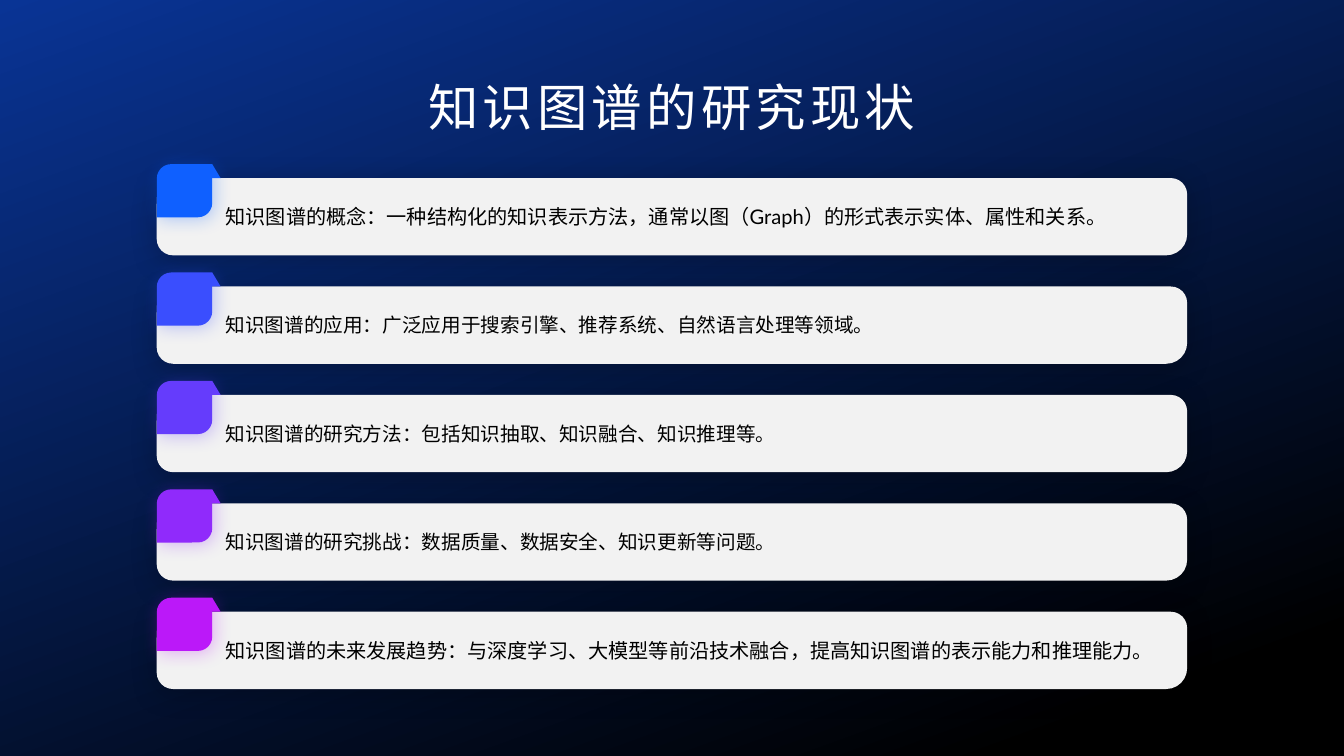
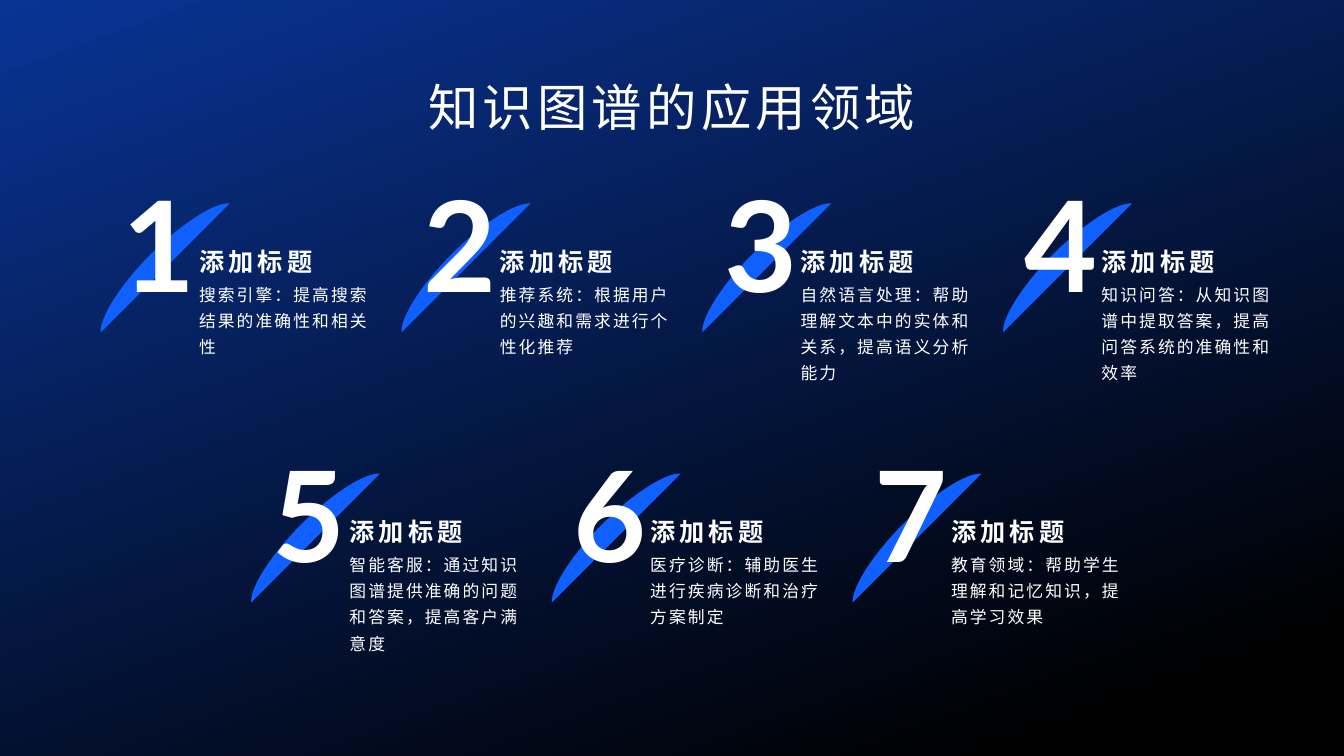
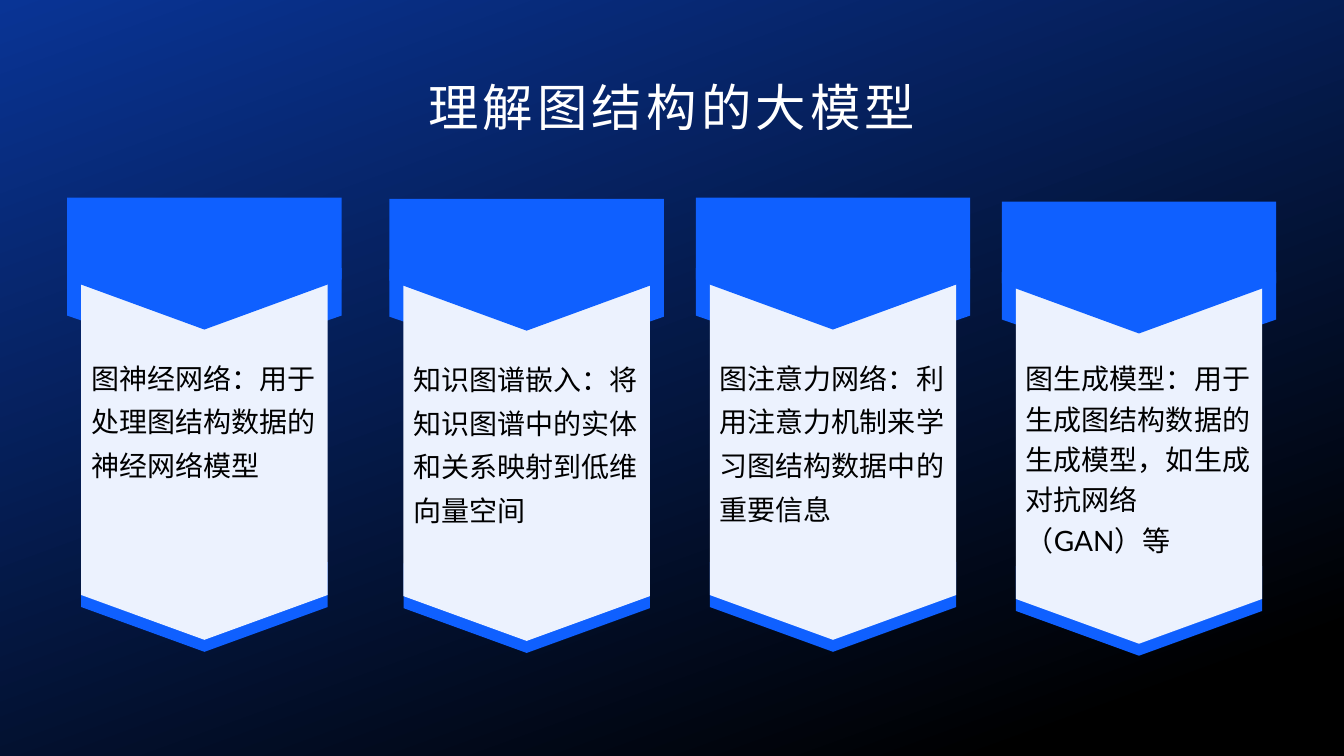
from dataclasses import dataclass
from lxml.etree import SubElement
from pptx import Presentation
from pptx.dml.color import RGBColor
from pptx.enum.lang import MSO_LANGUAGE_ID
from pptx.enum.shapes import MSO_SHAPE
from pptx.enum.text import MSO_ANCHOR, PP_ALIGN
from pptx.oxml.ns import qn
from pptx.util import Pt


@dataclass(frozen=True)
class Theme:
    """Colours, font and type sizes shared by the deck."""
    font: str = "Lato"
    night: str = "093495"
    black: str = "000000"
    white: str = "FFFFFF"
    blue: str = "0F60FF"
    card: str = "F2F2F2"
    sheet: str = "ECF2FE"
    tabs: tuple = ("0F60FF", "3A4EFE", "653CFC", "902AFB", "BB18F9")
    title: float = 36
    number: float = 90
    heading: float = 18
    detail: float = 12
    pennant: float = 20
    long_line: float = 14.4
    short_line: float = 14


THEME = Theme()

STATUS = [
    ("知识图谱的概念：一种结构化的知识表示方法，通常以图（Graph）的形式表示实体、属性和关系。", THEME.long_line),
    ("知识图谱的应用：广泛应用于搜索引擎、推荐系统、自然语言处理等领域。", THEME.short_line),
    ("知识图谱的研究方法：包括知识抽取、知识融合、知识推理等。", THEME.short_line),
    ("知识图谱的研究挑战：数据质量、数据安全、知识更新等问题。", THEME.short_line),
    ("知识图谱的未来发展趋势：与深度学习、大模型等前沿技术融合，提高知识图谱的表示能力和推理能力。", THEME.long_line),
]
FIELDS = [
    "搜索引擎：提高搜索结果的准确性和相关性",
    "推荐系统：根据用户的兴趣和需求进行个性化推荐",
    "自然语言处理：帮助理解文本中的实体和关系，提高语义分析能力",
    "知识问答：从知识图谱中提取答案，提高问答系统的准确性和效率",
    "智能客服：通过知识图谱提供准确的问题和答案，提高客户满意度",
    "医疗诊断：辅助医生进行疾病诊断和治疗方案制定",
    "教育领域：帮助学生理解和记忆知识，提高学习效果",
]
MODELS = [
    (48, 141.2, "图神经网络：用于处理图结构数据的神经网络模型", 1.3),
    (278.2, 142, "知识图谱嵌入：将知识图谱中的实体和关系映射到低维向量空间", 1.3),
    (497, 141.2, "图注意力网络：利用注意力机制来学习图结构数据中的重要信息", 1.3),
    (715.6, 144, "图生成模型：用于生成图结构数据的生成模型，如生成对抗网络（GAN）等", 1.2),
]


def write(frame, text, size, color, bold=False, tracking=0, spacing=None,
          align=PP_ALIGN.LEFT, anchor=MSO_ANCHOR.TOP, insets=None):
    """Fill a text frame with one styled paragraph."""
    frame.word_wrap = True
    frame.vertical_anchor = anchor
    if insets:
        (frame.margin_left, frame.margin_top,
         frame.margin_right, frame.margin_bottom) = map(Pt, insets)
    para = frame.paragraphs[0]
    para.alignment = align
    if spacing:
        para.line_spacing = spacing
    span = para.add_run()
    span.text = text
    span.font.name = THEME.font
    span.font.size = Pt(size)
    span.font.bold = bold
    span.font.color.rgb = RGBColor.from_string(color)
    span.font.language_id = MSO_LANGUAGE_ID.SIMPLIFIED_CHINESE
    properties = span.font._element
    SubElement(properties, qn("a:ea"), typeface=THEME.font)
    if tracking:
        properties.set("spc", str(int(tracking * 100)))


def add_text(page, box, text, size, color, **style):
    """Add a text box at box (left, top, width, height)."""
    write(page.shapes.add_textbox(*map(Pt, box)).text_frame, text, size, color, **style)


def paint(shape, color):
    """Give a shape a flat fill without line or shadow."""
    shape.fill.solid()
    shape.fill.fore_color.rgb = RGBColor.from_string(color)
    shape.line.fill.background()
    shape.shadow.inherit = False
    return shape


def add_block(page, kind, box, color, adjustments=()):
    """Add a flat preset shape at box."""
    shape = paint(page.shapes.add_shape(kind, *map(Pt, box)), color)
    for index, value in enumerate(adjustments):
        shape.adjustments[index] = value
    return shape


def add_outline(page, left, top, points, color):
    """Add a flat closed outline through points relative to left and top."""
    corners = [(Pt(left + x), Pt(top + y)) for x, y in points]
    builder = page.shapes.build_freeform(*corners[0], scale=1.0)
    builder.add_line_segments(corners[1:], close=True)
    return paint(builder.convert_to_shape(), color)


def cast_shadow(shape, color, alpha, blur, distance, angle):
    """Add a soft outer shadow to a flat shape."""
    effects = shape._element.spPr.find(qn("a:effectLst"))
    shadow = SubElement(effects, qn("a:outerShdw"), blurRad=str(Pt(blur)),
                        dist=str(Pt(distance)), dir=str(angle * 60000),
                        algn="ctr", rotWithShape="0")
    tint = SubElement(shadow, qn("a:srgbClr"), val=color)
    SubElement(tint, qn("a:alpha"), val=str(alpha * 1000))


def start_deck():
    """Create the deck with its size and shared background colour."""
    deck = Presentation()
    deck.slide_width, deck.slide_height = Pt(960), Pt(540)
    fill = deck.slide_master.background.fill
    fill.solid()
    fill.fore_color.rgb = RGBColor.from_string(THEME.night)
    return deck


def share_backdrop(deck, page):
    """Draw the gradient backdrop and move it onto the slide master."""
    backdrop = add_block(page, MSO_SHAPE.RECTANGLE, (0, 0, 960, 540), THEME.night)
    backdrop.fill.gradient()
    backdrop.fill.gradient_angle = 290
    stops = backdrop.fill.gradient_stops
    for stop, color, position in zip(stops, (THEME.night, THEME.black), (0, 0.9)):
        stop.color.rgb = RGBColor.from_string(color)
        stop.position = position
    backdrop._element.nvSpPr.cNvPr.set("id", "99")
    deck.slide_master.shapes._spTree.insert(2, backdrop._element)


def add_page(deck, heading):
    """Add a page with the shared title style."""
    page = deck.slides.add_slide(deck.slide_layouts.get_by_name("Title Only"))
    title = page.shapes.title
    title.left, title.top, title.width, title.height = map(Pt, (48, 48, 864, 55.4))
    write(title.text_frame, heading, THEME.title, THEME.white, tracking=3,
          align=PP_ALIGN.CENTER, anchor=MSO_ANCHOR.MIDDLE)
    return page


def add_status_card(page, box, text, size, color):
    """Draw a rounded card with a folded colour tab at its top left."""
    left, top, width, height = box
    tab_width, tab_height, fold_width, rise = 39.6, 38, 6, 10
    card = add_block(page, MSO_SHAPE.ROUND_2_DIAG_RECTANGLE,
                     (left, top + rise, width, height - rise), THEME.card, (0.27, 0.21))
    cast_shadow(card, THEME.black, 23, 20, 3, 107)
    tab = add_block(page, MSO_SHAPE.ROUND_2_DIAG_RECTANGLE,
                    (left, top, tab_width, tab_height), color, (0.27, 0))
    cast_shadow(tab, color, 31, 13, 2, 45)
    add_block(page, MSO_SHAPE.RIGHT_TRIANGLE,
              (left + tab_width, top, fold_width, rise), color)
    add_text(page, (left + 42, top + 10.5, 674, 54), text, size, THEME.black,
             spacing=1.5, anchor=MSO_ANCHOR.MIDDLE, insets=(7.2, 0, 7.2, 8.64))


def add_slash(page, left, top):
    """Draw the blue crescent stroke behind a number."""
    length, depth = 130.3, 14.2
    half = [(depth, 0), (6.2, 6.9), (0, 33.9), (0, length / 2)]
    mirrored = [(x, length - y) for x, y in reversed(half[:-1])]
    slash = add_outline(page, left, top, half + mirrored, THEME.blue)
    slash.rotation = 45
    lines = list(slash._element.iter(qn("a:lnTo")))
    for group in (lines[:3], lines[3:6]):
        bend = group[0]
        bend.tag = qn("a:cubicBezTo")
        for line in group[1:]:
            bend.append(line[0])
            line.getparent().remove(line)


def add_field(page, left, top, number, text):
    """Draw a numbered field with heading and description."""
    add_slash(page, left + 33.9, top + 2.2)
    flush = (0, 0, 0, 0)
    text_left, text_width = left + 70.2, 125.3
    add_text(page, (text_left, top + 15.8, text_width, 62.6), "添加标题", THEME.heading,
             THEME.white, bold=True, tracking=3, anchor=MSO_ANCHOR.BOTTOM, insets=flush)
    add_text(page, (text_left, top + 79.9, text_width, 98.6), text, THEME.detail,
             THEME.white, tracking=1.5, spacing=1.3, insets=flush)
    add_text(page, (left, top, 67.7, 127.4), str(number), THEME.number,
             THEME.white, bold=True, tracking=3, align=PP_ALIGN.RIGHT, insets=flush)


def add_plate(page, left, top, width, height):
    """Draw a blue plate pointing down that covers the given box."""
    turned = (left + (width - height) / 2, top + (height - width) / 2, height, width)
    plate = add_block(page, MSO_SHAPE.PENTAGON, turned, THEME.blue)
    plate.rotation = 270
    plate._element.spPr.xfrm.set("flipH", "1")


def add_pointed(page, left, top, width, height, point, color):
    """Draw an upright panel whose lower edge ends in a point."""
    shoulder = height - point
    add_outline(page, left, top, [(0, 0), (width, 0), (width, shoulder),
                                  (width / 2, height), (0, shoulder)], color)


def add_pennant(page, left, top, text, spacing):
    """Draw a pennant with a blue banner over a pale sheet."""
    width, sheet_left, sheet_width = 196, left + 10, 176
    add_plate(page, left, top + 50.4, width, 67.7)
    add_plate(page, sheet_left, top + 260.4, sheet_width, 64)
    add_pointed(page, sheet_left, top + 50.4, sheet_width, 265.4, 32, THEME.sheet)
    add_pointed(page, left, top, width, 94.2, 35.8, THEME.blue)
    add_text(page, (sheet_left, top + 106.1, sheet_width, 158.4), text,
             THEME.pennant, THEME.black, spacing=spacing)


def build_status(deck):
    """Build the page of research status cards."""
    page = add_page(deck, "知识图谱的研究现状")
    share_backdrop(deck, page)
    for row, ((text, size), color) in enumerate(zip(STATUS, THEME.tabs)):
        add_status_card(page, (112, 117.2 + row * 77.44, 736, 65.2), text, size, color)


def build_fields(deck):
    """Build the page of fields in rows of four and three."""
    page = add_page(deck, "知识图谱的应用领域")
    pitch, per_row = 214.85, 4
    for index, text in enumerate(FIELDS):
        row, column = divmod(index, per_row)
        add_field(page, 72 + (column + row / 2) * pitch, 119 + row * 193, index + 1, text)


def build_models(deck):
    """Build the page of model pennants."""
    page = add_page(deck, "理解图结构的大模型")
    for left, top, text, spacing in MODELS:
        add_pennant(page, left, top, text, spacing)


def main():
    """Build and save the deck."""
    deck = start_deck()
    build_status(deck)
    build_fields(deck)
    build_models(deck)
    deck.save("out.pptx")


if __name__ == "__main__":
    main()
